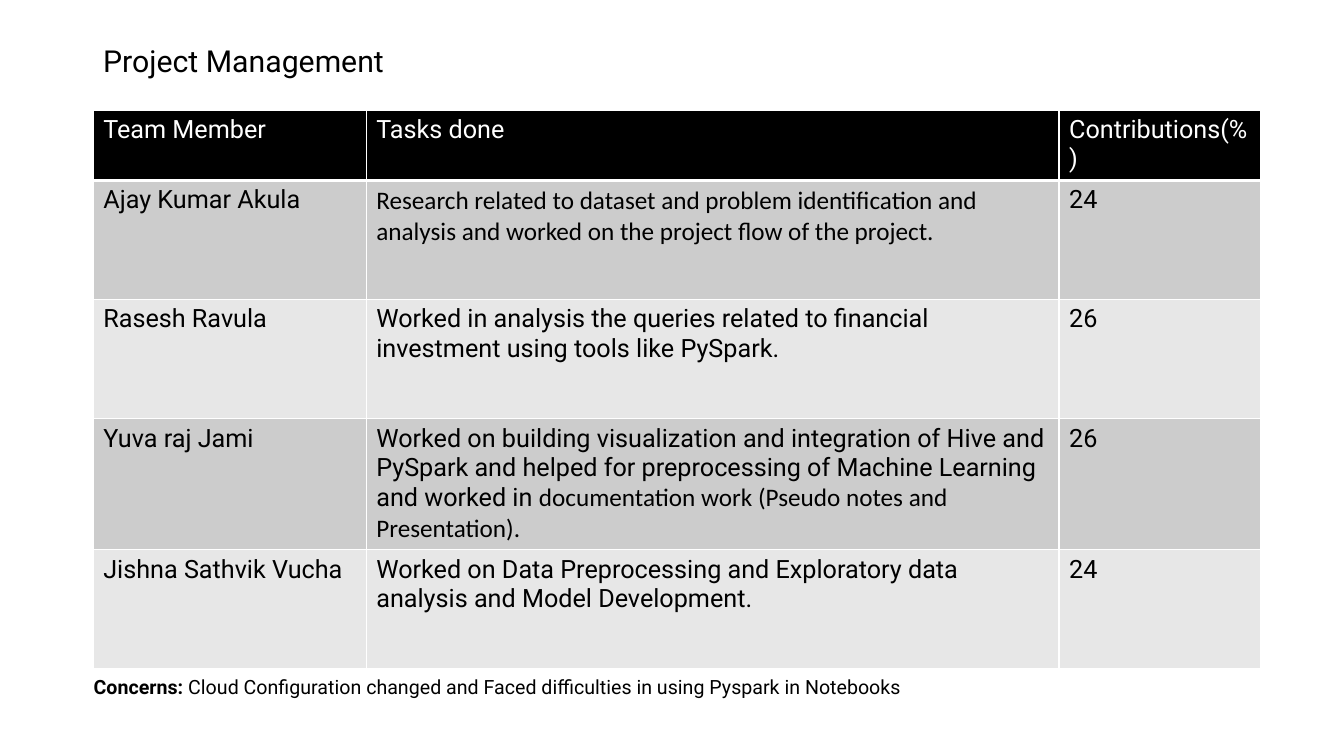
from typing import NamedTuple

from lxml.etree import SubElement
from pptx import Presentation
from pptx.dml.color import RGBColor
from pptx.enum.text import MSO_ANCHOR, MSO_AUTO_SIZE
from pptx.oxml.ns import qn
from pptx.util import Cm, Pt

COLORS = {
    "text": "000000",
    "header_text": "FFFFFF",
    "header": "000000",
    "odd_row": "CCCCCC",
    "even_row": "E7E7E7",
    "border": "FFFFFF",
}
COLUMN_WIDTHS = (6.88, 17.46, 5.08)
HEADER_HEIGHT, MEMBER_HEIGHT = 1.24, 3.0


class Span(NamedTuple):
    text: str
    font: str = "Roboto"
    bold: bool = False


class Member(NamedTuple):
    name: str
    tasks: tuple[Span, ...]
    contribution: int


HEADINGS = ("Team Member", "Tasks done", "Contributions(%)")
MEMBERS = (
    Member("Ajay Kumar Akula", (
        Span("Research related to dataset and problem identification and analysis "
             "and worked on the project flow of the project.", "Calibri"),
    ), 24),
    Member("Rasesh Ravula", (
        Span("Worked in analysis the queries related to financial investment "
             "using tools like PySpark."),
    ), 26),
    Member("Yuva raj Jami", (
        Span("Worked on building visualization and integration of Hive and PySpark and "
             "helped for preprocessing of Machine Learning and worked in "),
        Span("documentation work (Pseudo notes and Presentation).", "Calibri"),
    ), 26),
    Member("Jishna Sathvik Vucha", (
        Span("Worked on Data Preprocessing and Exploratory data analysis "
             "and Model Development."),
    ), 24),
)
CONCERNS = (
    Span("Concerns: ", bold=True),
    Span("Cloud Configuration changed and Faced difficulties in using Pyspark in Notebooks"),
)


def write_spans(paragraph, spans: tuple[Span, ...], size: float, color: str) -> None:
    for span in spans:
        run = paragraph.add_run()
        run.text = span.text
        run.font.name = span.font
        run.font.size = Pt(size)
        run.font.bold = span.bold
        run.font.color.rgb = RGBColor.from_string(COLORS[color])


def add_text_box(slide, left: float, top: float, width: float, height: float,
                 spans: tuple[Span, ...], size: float):
    frame = slide.shapes.add_textbox(Cm(left), Cm(top), Cm(width), Cm(height)).text_frame
    frame.word_wrap = True
    write_spans(frame.paragraphs[0], spans, size, "text")
    return frame


def add_borders(cell, bottom: float) -> None:
    """Line the cell at 1 pt, except for its bottom; call before filling it."""
    properties = cell._tc.get_or_add_tcPr()
    for side, width in (("L", 1), ("R", 1), ("T", 1), ("B", bottom)):
        line = SubElement(properties, qn(f"a:ln{side}"), w=str(Pt(width)))
        SubElement(SubElement(line, qn("a:solidFill")), qn("a:srgbClr"), val=COLORS["border"])


def add_member_table(slide) -> None:
    rows = [tuple((Span(heading),) for heading in HEADINGS)]
    rows += [((Span(member.name),), member.tasks, (Span(str(member.contribution)),))
             for member in MEMBERS]
    height = HEADER_HEIGHT + MEMBER_HEIGHT * len(MEMBERS)
    table = slide.shapes.add_table(len(rows), len(HEADINGS), Cm(2.35), Cm(2.77),
                                   Cm(sum(COLUMN_WIDTHS)), Cm(height)).table
    for column, width in zip(table.columns, COLUMN_WIDTHS):
        column.width = Cm(width)
    for index, row in enumerate(rows):
        is_header = index == 0
        table.rows[index].height = Cm(HEADER_HEIGHT if is_header else MEMBER_HEIGHT)
        fill = "header" if is_header else "odd_row" if index % 2 else "even_row"
        for cell, spans in zip(table.rows[index].cells, row):
            add_borders(cell, bottom=3 if is_header else 1)
            cell.fill.solid()
            cell.fill.fore_color.rgb = RGBColor.from_string(COLORS[fill])
            write_spans(cell.text_frame.paragraphs[0], spans, 18,
                        "header_text" if is_header else "text")


def main() -> None:
    presentation = Presentation()
    presentation.slide_width, presentation.slide_height = Cm(33.87), Cm(19.05)
    slide = presentation.slides.add_slide(presentation.slide_layouts[6])

    title = add_text_box(slide, 2.35, 1.02, 29.21, 1.12, (Span("Project Management"),), 21.6)
    title.vertical_anchor = MSO_ANCHOR.MIDDLE
    title.paragraphs[0].line_spacing = 0.9

    add_member_table(slide)

    concerns = add_text_box(slide, 0.84, 16.87, 23.27, 0.86, CONCERNS, 14)
    concerns.auto_size = MSO_AUTO_SIZE.SHAPE_TO_FIT_TEXT
    paragraph = concerns.paragraphs[0]
    paragraph.level = 1
    paragraph._p.get_or_add_pPr().set("marL", str(Cm(1.27)))
    paragraph._p.get_or_add_pPr().set("indent", "0")

    presentation.save("out.pptx")


if __name__ == "__main__":
    main()
